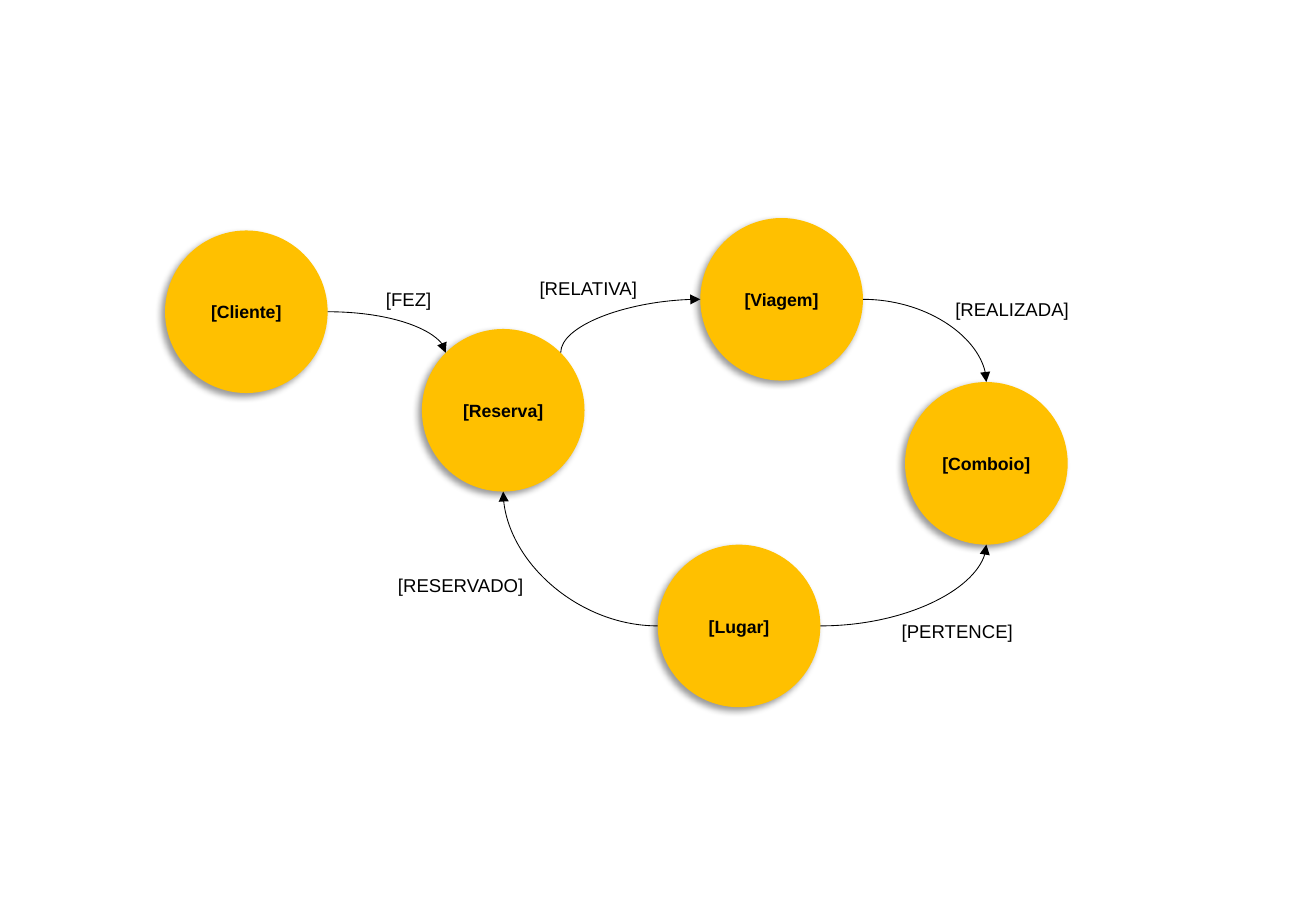
"""Draw the railway booking graph: five entities joined by labelled relations."""
import math
from dataclasses import dataclass
from enum import IntEnum

from lxml import etree
from pptx import Presentation
from pptx import util as u
from pptx.dml.color import RGBColor
from pptx.enum import shapes, text
from pptx.oxml import ns

AMBER = RGBColor(0xFF, 0xC0, 0x00)
BLACK = RGBColor(0x00, 0x00, 0x00)
FONT = "Arial"
DIAMETER = 3.4
LABEL_HEIGHT = 0.74


class Site(IntEnum):
    """Connection sites of an ellipse, counter-clockwise from the top."""
    TOP = 0
    TOP_LEFT = 1
    LEFT = 2
    BOTTOM = 4
    RIGHT = 6
    TOP_RIGHT = 7


@dataclass(frozen=True)
class Entity:
    """A circle, placed by its top left corner in centimetres."""
    name: str
    left: float
    top: float

    def point(self, site: Site) -> tuple[u.Length, u.Length]:
        """Return the place of a connection site on the circle."""
        angle = math.radians(45 * site)
        radius = DIAMETER / 2
        return (u.Cm(self.left + radius * (1 - math.sin(angle))),
                u.Cm(self.top + radius * (1 - math.cos(angle))))


@dataclass(frozen=True)
class Relation:
    """A curved arrow between two entities, with its label box."""
    name: str
    source: Entity
    source_site: Site
    target: Entity
    target_site: Site
    left: float
    top: float
    width: float


CLIENTE = Entity("[Cliente]", 3.45, 4.82)
RESERVA = Entity("[Reserva]", 8.82, 6.88)
VIAGEM = Entity("[Viagem]", 14.64, 4.56)
COMBOIO = Entity("[Comboio]", 18.92, 7.99)
LUGAR = Entity("[Lugar]", 13.75, 11.39)
ENTITIES = (CLIENTE, RESERVA, VIAGEM, COMBOIO, LUGAR)
RELATIONS = (
    Relation("[FEZ]", CLIENTE, Site.RIGHT, RESERVA, Site.TOP_LEFT, 7.82, 5.89, 1.47),
    Relation("[RELATIVA]", RESERVA, Site.TOP_RIGHT, VIAGEM, Site.LEFT, 11.03, 5.66, 2.62),
    Relation("[REALIZADA]", VIAGEM, Site.RIGHT, COMBOIO, Site.TOP, 19.72, 6.1, 2.92),
    Relation("[PERTENCE]", LUGAR, Site.RIGHT, COMBOIO, Site.BOTTOM, 18.6, 12.85, 2.87),
    Relation("[RESERVADO]", LUGAR, Site.LEFT, RESERVA, Site.BOTTOM, 8.07, 11.87, 3.2),
)


def add_run(p, content: str, size: float, bold: bool = False) -> None:
    """Add one black run to a paragraph."""
    r = p.add_run()
    r.text = content
    r.font.name = FONT
    r.font.size = u.Pt(size)
    r.font.bold = bold
    r.font.color.rgb = BLACK


def add_xml(parent, tag: str, **attributes):
    """Append a child element with the given attributes."""
    return etree.SubElement(parent, ns.qn(tag),
                            {key: str(value) for key, value in attributes.items()})


def add_shadow(sp) -> None:
    """Give a shape a soft shadow towards the lower left."""
    sp.shadow.inherit = False
    effects = sp._element.spPr.find(ns.qn("a:effectLst"))
    shadow = add_xml(effects, "a:outerShdw", blurRad=u.Pt(4), dist=u.Pt(3),
                     dir=135 * 60000, algn="ctr", rotWithShape=0)
    color = add_xml(shadow, "a:srgbClr", val=BLACK)
    add_xml(color, "a:alpha", val=40000)


def add_entity(s, entity: Entity):
    """Draw an entity as a circle with a bold name."""
    sp = s.shapes.add_shape(shapes.MSO_SHAPE.OVAL, u.Cm(entity.left), u.Cm(entity.top),
                            u.Cm(DIAMETER), u.Cm(DIAMETER))
    sp.fill.solid()
    sp.fill.fore_color.rgb = AMBER
    sp.line.fill.background()
    add_shadow(sp)
    tf = sp.text_frame
    tf.margin_left = tf.margin_right = 0
    tf.vertical_anchor = text.MSO_ANCHOR.MIDDLE
    p = tf.paragraphs[0]
    p.alignment = text.PP_ALIGN.CENTER
    add_run(p, entity.name, 10.5, bold=True)
    return sp


def turn_vertical(cxn) -> None:
    """Turn a curve by 90 degrees so that it leaves its start vertically."""
    up, right = cxn.end_y < cxn.begin_y, cxn.end_x > cxn.begin_x
    shift = (cxn.width - cxn.height) // 2
    cxn.left, cxn.top = cxn.left + shift, cxn.top - shift
    cxn.width, cxn.height = cxn.height, cxn.width
    xfrm = cxn._element.spPr.xfrm
    xfrm.set("rot", str(90 * 60000))
    xfrm.set("flipH", str(int(up)))
    xfrm.set("flipV", str(int(right)))


def add_arrow(s, relation: Relation, circles: dict) -> None:
    """Draw the curved arrow of a relation, glued to its two circles."""
    cxn = s.shapes.add_connector(shapes.MSO_CONNECTOR.CURVE,
                                 *relation.source.point(relation.source_site),
                                 *relation.target.point(relation.target_site))
    if relation.source_site is Site.TOP_RIGHT:
        turn_vertical(cxn)
    cxn.line.color.rgb = BLACK
    cxn.line.width = u.Pt(0.5)
    properties = cxn._element.spPr
    properties.find(ns.qn("a:prstGeom")).set("prst", "curvedConnector2")
    add_xml(properties.find(ns.qn("a:ln")), "a:tailEnd", type="triangle")
    add_xml(properties, "a:effectLst")
    glue = cxn._element.nvCxnSpPr.cNvCxnSpPr
    add_xml(glue, "a:stCxn", id=circles[relation.source].shape_id,
            idx=int(relation.source_site))
    add_xml(glue, "a:endCxn", id=circles[relation.target].shape_id,
            idx=int(relation.target_site))


def add_label(s, relation: Relation) -> None:
    """Write the name of a relation beside its arrow."""
    tf = s.shapes.add_textbox(u.Cm(relation.left), u.Cm(relation.top),
                              u.Cm(relation.width), u.Cm(LABEL_HEIGHT)).text_frame
    tf.word_wrap = False
    tf.auto_size = text.MSO_AUTO_SIZE.SHAPE_TO_FIT_TEXT
    add_run(tf.paragraphs[0], relation.name, 11)


def main() -> None:
    """Build and save the slide."""
    prs = Presentation()
    prs.slide_width, prs.slide_height = u.Cm(27.51), u.Cm(19.05)
    s = prs.slides.add_slide(prs.slide_layouts[6])
    circles = {entity: add_entity(s, entity) for entity in ENTITIES}
    for relation in RELATIONS:
        add_arrow(s, relation, circles)
        add_label(s, relation)
    prs.save("out.pptx")


main()
